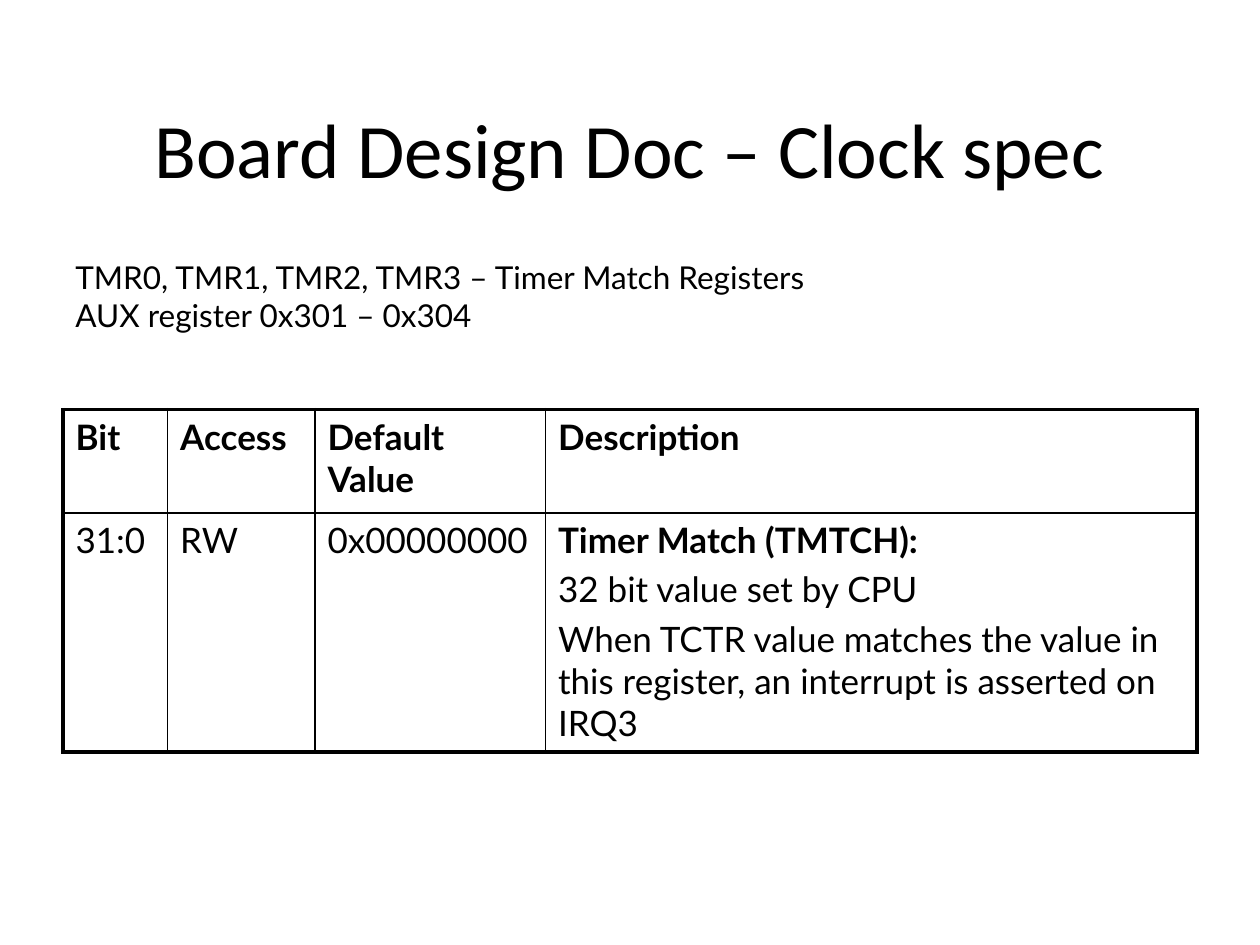
import dataclasses

import pptx
import pptx.dml.color
import pptx.enum.text
import pptx.oxml
import pptx.oxml.ns
import pptx.util

Inches = pptx.util.Inches
Pt = pptx.util.Pt


@dataclasses.dataclass(frozen=True)
class Theme:
    ink: str = "000000"
    title_font: str = "Calibri"
    body_font: str = "Lato"
    title_size: int = 44
    caption_size: int = 18
    table_size: int = 20
    paragraph_gap: int = 4
    inner_line: float = 1
    outer_line: float = 2.25


THEME = Theme()
COLUMN_WIDTHS = [0.83, 1.17, 1.83, 5.17]
ROW_HEIGHTS = [0.82, 1.9]
REGISTER_ROWS = [
    ["Bit", "Access", "Default Value", "Description"],
    [
        "31:0",
        "RW",
        "0x00000000",
        "Timer Match (TMTCH):\n32 bit value set by CPU\n"
        "When TCTR value matches the value in this register, "
        "an interrupt is asserted on IRQ3",
    ],
]


def style_paragraph(para, font_name, size, bold=False):
    for span in para.runs:
        span.font.name = font_name
        span.font.size = Pt(size)
        span.font.bold = bold
        span.font.color.rgb = pptx.dml.color.RGBColor.from_string(THEME.ink)


def add_title(page, text):
    title = page.shapes.title
    title.left, title.top = Inches(0.5), Inches(0.42)
    title.width, title.height = Inches(9), Inches(1.5)
    frame = title.text_frame
    frame.text = text
    frame.vertical_anchor = pptx.enum.text.MSO_ANCHOR.MIDDLE
    para = frame.paragraphs[0]
    para.alignment = pptx.enum.text.PP_ALIGN.CENTER
    style_paragraph(para, THEME.title_font, THEME.title_size)


def add_caption(page, text):
    box = page.shapes.add_textbox(Inches(0.5), Inches(2), Inches(8.25), Inches(0.7))
    frame = box.text_frame
    frame.word_wrap = True
    frame.auto_size = pptx.enum.text.MSO_AUTO_SIZE.SHAPE_TO_FIT_TEXT
    frame.text = text
    for para in frame.paragraphs:
        style_paragraph(para, THEME.body_font, THEME.caption_size)


def set_borders(cell, outer_sides):
    properties = cell._tc.get_or_add_tcPr()
    for position, side in enumerate("LRTB"):
        width = THEME.outer_line if side in outer_sides else THEME.inner_line
        border = pptx.oxml.parse_xml(
            f'<a:ln{side} {pptx.oxml.ns.nsdecls("a")} w="{Pt(width)}">'
            f'<a:solidFill><a:srgbClr val="{THEME.ink}"/></a:solidFill>'
            f"</a:ln{side}>"
        )
        properties.insert(position, border)


def fill_cell(cell, text, is_header):
    cell.fill.background()
    cell.text_frame.text = text
    paragraphs = cell.text_frame.paragraphs
    for index, para in enumerate(paragraphs):
        is_heading = is_header or (index == 0 and len(paragraphs) > 1)
        if index:
            para.space_before = Pt(THEME.paragraph_gap)
        style_paragraph(para, THEME.body_font, THEME.table_size, is_heading)


def add_register_table(page, rows):
    table = page.shapes.add_table(
        len(rows), len(COLUMN_WIDTHS), Inches(0.5), Inches(3.25),
        Inches(sum(COLUMN_WIDTHS)), Inches(sum(ROW_HEIGHTS)),
    ).table
    table.horz_banding = False
    table.first_row = False
    for column, width in zip(table.columns, COLUMN_WIDTHS):
        column.width = Inches(width)
    for row, height in zip(table.rows, ROW_HEIGHTS):
        row.height = Inches(height)
    last_row, last_column = len(rows) - 1, len(COLUMN_WIDTHS) - 1
    for row_index, texts in enumerate(rows):
        for column_index, text in enumerate(texts):
            cell = table.cell(row_index, column_index)
            fill_cell(cell, text, row_index == 0)
            edges = {
                "L": column_index == 0,
                "R": column_index == last_column,
                "T": row_index == 0,
                "B": row_index == last_row,
            }
            set_borders(cell, [side for side, is_outer in edges.items() if is_outer])


def main():
    deck = pptx.Presentation()
    deck.slide_width, deck.slide_height = Inches(10), Inches(7.5)
    page = deck.slides.add_slide(deck.slide_layouts.get_by_name("Title Only"))
    add_title(page, "Board Design Doc – Clock spec")
    add_register_table(page, REGISTER_ROWS)
    add_caption(
        page,
        "TMR0, TMR1, TMR2, TMR3 – Timer Match Registers\nAUX register 0x301 – 0x304",
    )
    deck.save("out.pptx")


if __name__ == "__main__":
    main()
